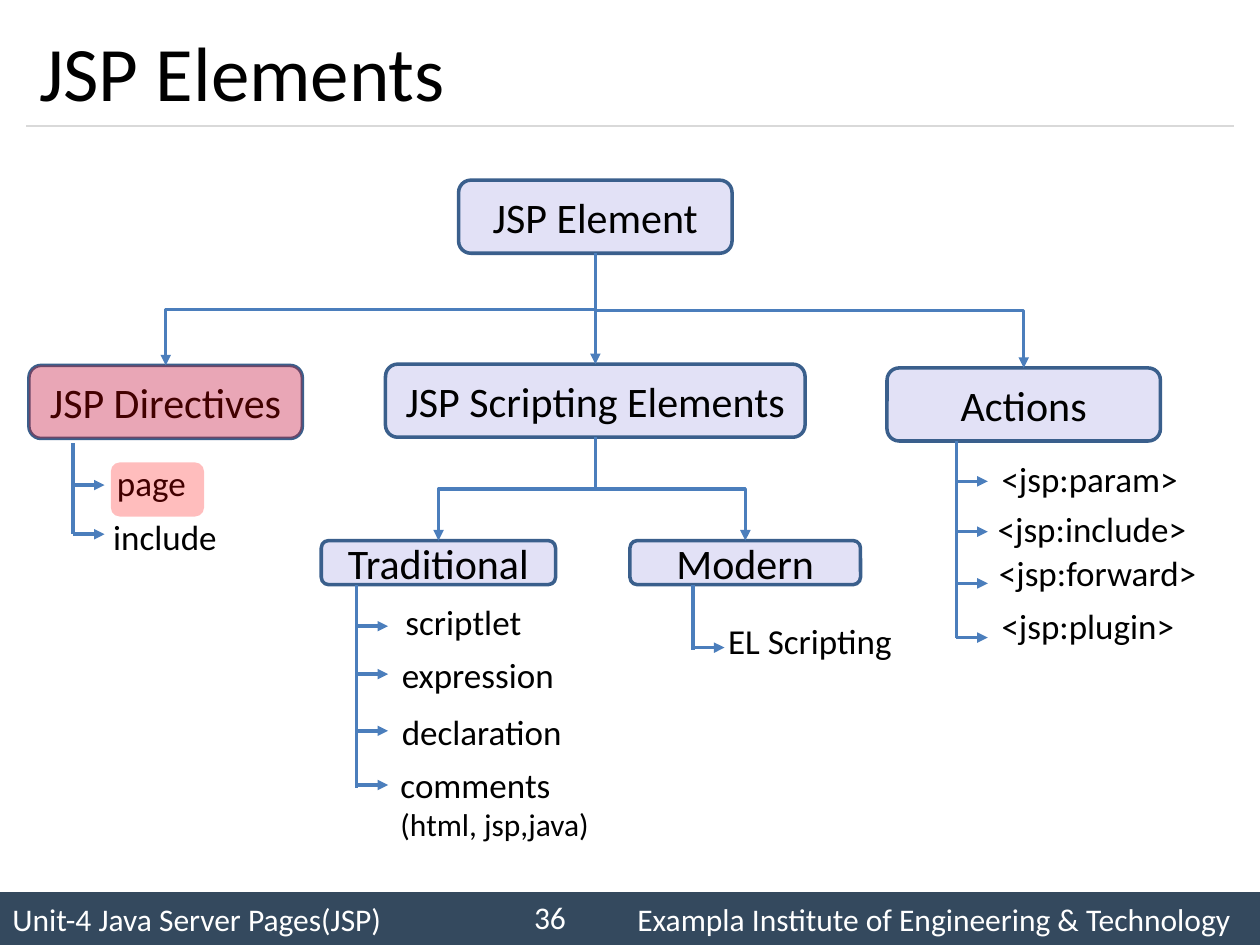
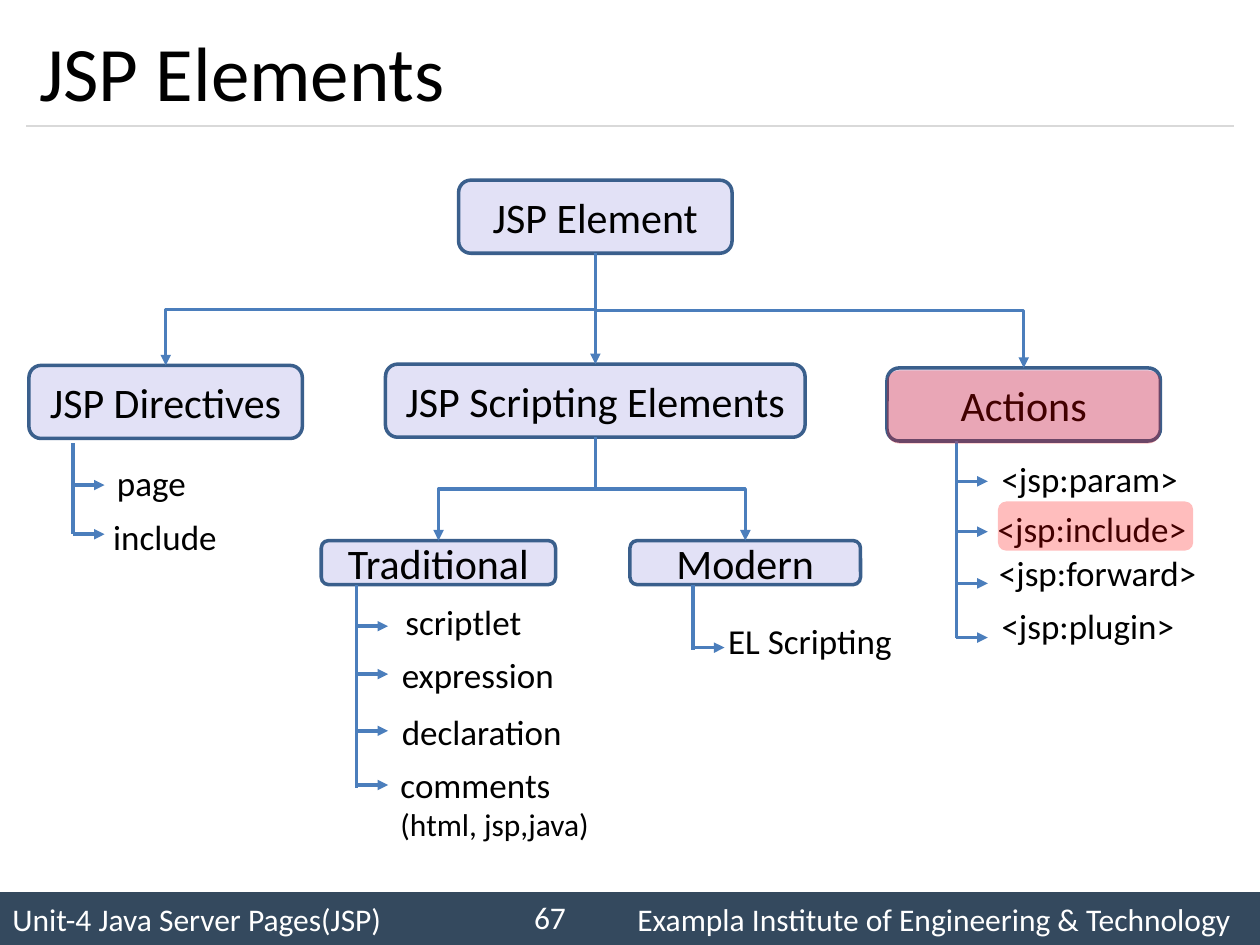
from lxml import etree
from pptx import Presentation
from pptx import util as u
from pptx.dml.color import RGBColor
from pptx.enum import shapes, text
from pptx.oxml import ns

NAVY = RGBColor(0x34, 0x49, 0x5E)
RULE = RGBColor(0xD9, 0xD9, 0xD9)
VIOLET = RGBColor(0x13, 0x0B, 0xB5)
BORDER = RGBColor(0x3A, 0x5F, 0x8C)
ARROW = RGBColor(0x4B, 0x7E, 0xBC)
RED = RGBColor(0xFF, 0x00, 0x00)
BLACK = RGBColor(0x00, 0x00, 0x00)
WHITE = RGBColor(0xFF, 0xFF, 0xFF)

FONT = "Calibri"
TITLE = {"size": u.Pt(44), "name": FONT}
NODE = {"size": u.Pt(24), "name": FONT}
LEAF = {"size": u.Pt(20), "name": FONT}
SMALL = {"size": u.Pt(18), "name": FONT}

NODES = {
    "JSP Element": (3.64, 1.43, 2.17, 0.58),
    "JSP Directives": (0.23, 2.9, 2.17, 0.58),
    "JSP Scripting Elements": (3.06, 2.89, 3.33, 0.58),
    "Actions": (7.04, 2.92, 2.17, 0.58),
    "Traditional": (2.55, 4.29, 1.86, 0.35),
    "Modern": (5, 4.29, 1.83, 0.35),
}
CHILDREN = {
    "JSP Element": ("JSP Directives", "JSP Scripting Elements", "Actions"),
    "JSP Scripting Elements": ("Traditional", "Modern"),
}
LEAVES = {
    "JSP Directives": (0.35, 0.62, 1.34, [
        ("page", 0.6, 0.71, 0.75, 0.95),
        ("include", 0.57, 1.14, 1.03, 1.34)]),
    "Traditional": (0.28, 0.35, 1.96, [
        ("scriptlet", 0.57, 0.43, 1.13, 0.68),
        ("expression", 0.54, 0.85, 1.42, 1.06),
        ("declaration", 0.54, 1.3, 1.49, 1.51),
        ("comments\n(html, jsp,java)", 0.53, 1.72, 1.71, 1.94)]),
    "Modern": (0.5, 0.35, 0.87, [
        ("EL Scripting", 0.68, 0.58, 1.52, 0.85)]),
    "Actions": (0.55, 0.58, 2.14, [
        ("<jsp:param>", 0.81, 0.66, 1.62, 0.9),
        ("<jsp:include>", 0.78, 1.06, 1.71, 1.3),
        ("<jsp:forward>", 0.79, 1.41, 1.78, 1.71),
        ("<jsp:plugin>", 0.81, 1.83, 1.59, 2.14)]),
}
SLIDES = [
    ("36", [NODES["JSP Directives"], (0.88, 3.67, 0.74, 0.43)]),
    ("67", [(7.04, 2.94, 2.17, 0.58), (7.92, 3.98, 1.55, 0.39)]),
]


def inches(box):
    return [u.Inches(v) for v in box]


def write(tf, lines, fmts, color=BLACK, align=text.PP_ALIGN.LEFT,
          anchor=text.MSO_ANCHOR.MIDDLE, wrap=True):
    tf.word_wrap = wrap
    tf.vertical_anchor = anchor
    for i, (line, fmt) in enumerate(zip(lines.split("\n"), fmts)):
        p = tf.add_paragraph() if i else tf.paragraphs[0]
        p.alignment = align
        r = p.add_run()
        r.text = line
        for key, value in fmt.items():
            setattr(r.font, key, value)
        r.font.color.rgb = color


def add_text(s, box, lines, fmts, **style):
    sp = s.shapes.add_textbox(*inches(box))
    write(sp.text_frame, lines, fmts, **style)
    return sp


def add_block(s, kind, box, fill, alpha=None, border=None):
    sp = s.shapes.add_shape(kind, *inches(box))
    sp.shadow.inherit = False
    sp.fill.solid()
    sp.fill.fore_color.rgb = fill
    if alpha:
        clr = sp._element.spPr.find(".//" + ns.qn("a:srgbClr"))
        etree.SubElement(clr, ns.qn("a:alpha"), val=str(alpha * 1000))
    if border:
        sp.line.color.rgb = border
        sp.line.width = u.Pt(2)
    else:
        sp.line.fill.background()
    return sp


def add_line(s, start, end, color=ARROW, width=2, arrow=False,
             kind=shapes.MSO_CONNECTOR.STRAIGHT):
    c = s.shapes.add_connector(kind, *inches(start + end))
    c.line.color.rgb = color
    c.line.width = u.Pt(width)
    if arrow:
        etree.SubElement(c.line._get_or_add_ln(), ns.qn("a:tailEnd"), type="triangle")
    etree.SubElement(c._element.spPr, ns.qn("a:effectLst"))
    return c


def add_elbow(s, parent, child):
    x1, y1 = parent.left + parent.width // 2, parent.top + parent.height
    x2, y2 = child.left + child.width // 2, child.top
    c = add_line(s, (0, 0), (1, 1), arrow=True, kind=shapes.MSO_CONNECTOR.ELBOW)
    c.begin_connect(parent, 2)
    c.end_connect(child, 0)
    run, drop = abs(x2 - x1), y2 - y1
    c.left, c.top = (x1 + x2 - drop) // 2, (y1 + y2 - run) // 2
    c.width, c.height = drop, run
    xfrm = c._element.spPr.find(ns.qn("a:xfrm"))
    rightward = x2 > x1
    turns = {"rot": str((270 if rightward else 90) * 60000),
             "flipH": str(int(rightward)), "flipV": "0"}
    for key, value in turns.items():
        xfrm.set(key, value)


def add_leaves(s, box, stem, start, end, leaves):
    left, top = box[:2]
    x = left + stem
    add_line(s, (x, top + start), (x, top + end))
    for label, dx, dy, width, arrow_y in leaves:
        y = top + arrow_y
        add_line(s, (x, y), (x + 0.25, y), arrow=True)
        height = 0.74 if "\n" in label else 0.44
        sp = add_text(s, (left + dx, top + dy, width, height), label, (LEAF, SMALL),
                      anchor=text.MSO_ANCHOR.TOP, wrap=False)
        sp.text_frame.auto_size = text.MSO_AUTO_SIZE.SHAPE_TO_FIT_TEXT


def add_tree(s):
    nodes = {}
    for name, box in NODES.items():
        sp = add_block(s, shapes.MSO_SHAPE.ROUNDED_RECTANGLE, box, VIOLET, 12, BORDER)
        write(sp.text_frame, name, [NODE], align=text.PP_ALIGN.CENTER)
        nodes[name] = sp
    for parent, children in CHILDREN.items():
        for child in children:
            add_elbow(s, nodes[parent], nodes[child])
    for name, branch in LEAVES.items():
        add_leaves(s, NODES[name], *branch)


def add_header(s, title):
    sp = s.shapes.title
    sp.left, sp.top, sp.width, sp.height = inches((0.21, 0.12, 9.58, 0.88))
    write(sp.text_frame, title, [TITLE])
    add_line(s, (0.21, 1), (9.79, 1), RULE, 0.75)


def add_footer(s, number):
    band = add_block(s, shapes.MSO_SHAPE.RECTANGLE, (0, 7.08, 10, 0.42), NAVY)
    write(band.text_frame, "Unit-4 Java Server Pages(JSP)", [SMALL], WHITE)
    add_text(s, (4.96, 7.08, 5.04, 0.42), "Exampla Institute of Engineering & Technology",
             [SMALL], color=WHITE)
    add_text(s, (3.92, 7.08, 0.67, 0.4), number, [SMALL], color=WHITE,
             align=text.PP_ALIGN.RIGHT)


def add_elements_slide(prs, number, highlights):
    s = prs.slides.add_slide(prs.slide_layouts[5])
    add_header(s, "JSP Elements")
    add_footer(s, number)
    add_tree(s)
    for box in highlights:
        add_block(s, shapes.MSO_SHAPE.ROUNDED_RECTANGLE, box, RED, 26)


def main():
    prs = Presentation()
    prs.slide_width, prs.slide_height = inches((10, 7.5))
    for number, highlights in SLIDES:
        add_elements_slide(prs, number, highlights)
    prs.save("out.pptx")


if __name__ == "__main__":
    main()
